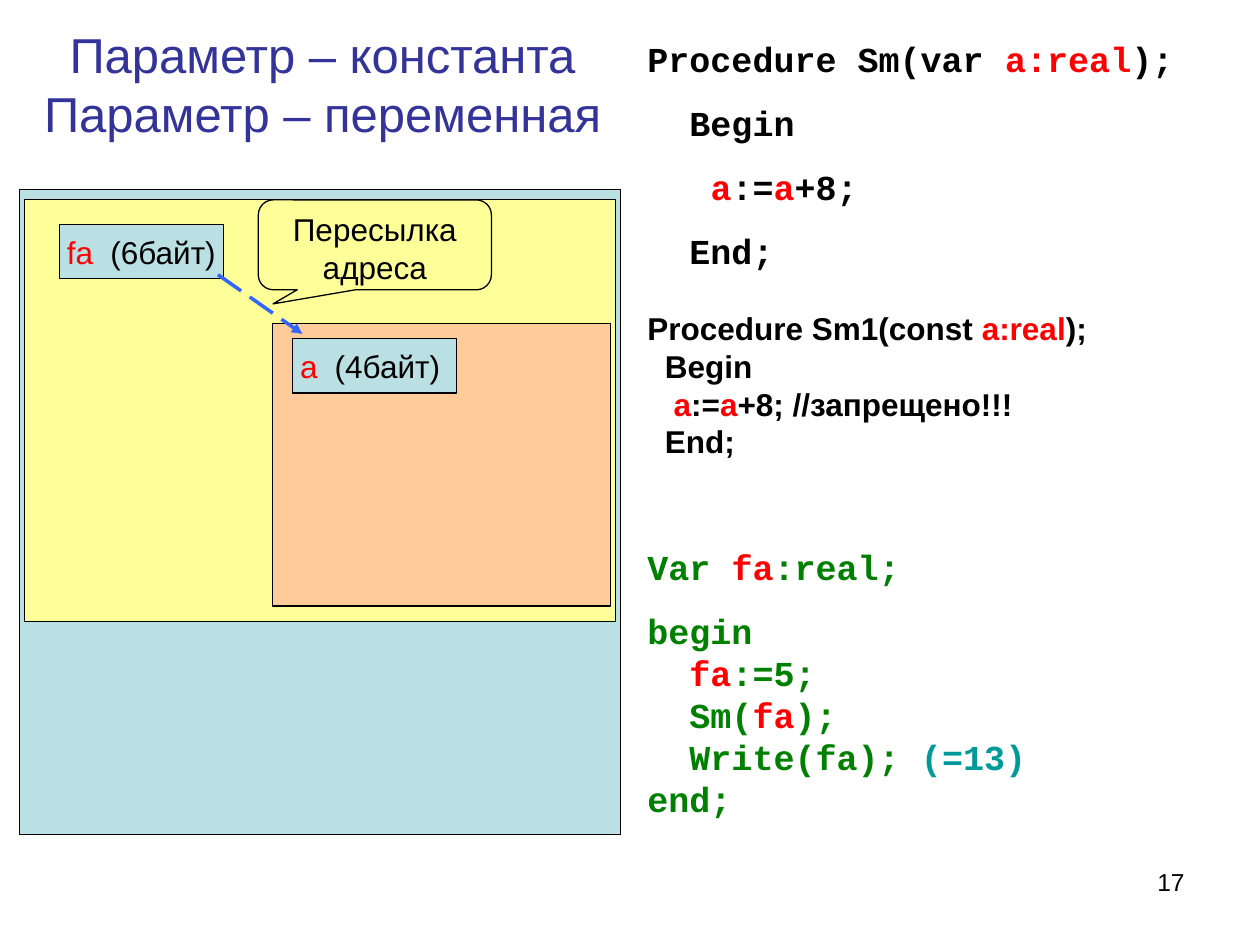
"""Build the slide on constant and variable procedure parameters."""
from lxml import etree
from pptx import Presentation
from pptx.dml.color import RGBColor
from pptx.enum.dml import MSO_LINE
from pptx.enum.shapes import MSO_CONNECTOR, MSO_SHAPE
from pptx.enum.text import MSO_ANCHOR, PP_ALIGN
from pptx.oxml.ns import qn
from pptx.util import Pt

RECTANGLE = MSO_SHAPE.RECTANGLE
CALLOUT = MSO_SHAPE.ROUNDED_RECTANGULAR_CALLOUT
STRAIGHT = MSO_CONNECTOR.STRAIGHT
LONG_DASH = MSO_LINE.LONG_DASH
TOP, MIDDLE = MSO_ANCHOR.TOP, MSO_ANCHOR.MIDDLE
LEFT, CENTER, RIGHT = PP_ALIGN.LEFT, PP_ALIGN.CENTER, PP_ALIGN.RIGHT

BLACK = RGBColor(0x00, 0x00, 0x00)
RED = RGBColor(0xFF, 0x00, 0x00)
GREEN = RGBColor(0x00, 0x80, 0x00)
TEAL = RGBColor(0x00, 0x99, 0x99)
INDIGO = RGBColor(0x33, 0x33, 0x99)
BLUE = RGBColor(0x33, 0x66, 0xFF)
PALE_BLUE = RGBColor(0xBB, 0xE0, 0xE3)
YELLOW = RGBColor(0xFF, 0xFF, 0x99)
PEACH = RGBColor(0xFF, 0xCC, 0x99)


def write(paragraph, *runs, size=18, font="Arial", color=BLACK, bold=False,
          align=LEFT, before=0, tab=None):
    if tab:
        stops = etree.SubElement(paragraph._p.get_or_add_pPr(), qn("a:tabLst"))
        etree.SubElement(stops, qn("a:tab"), pos=str(Pt(tab)), algn="l")
    paragraph.alignment = align
    paragraph.space_before = Pt(before)
    for run_text in runs:
        if run_text == "\n":
            paragraph.add_line_break()
            continue
        text, run_color = run_text if isinstance(run_text, tuple) else (run_text, color)
        run = paragraph.add_run()
        run.text = text
        run.font.size, run.font.name, run.font.bold = Pt(size), font, bold
        run.font.color.rgb = run_color


def add_box(kind, left, top, width, height, fill=None):
    box = slide.shapes.add_shape(kind, Pt(left), Pt(top), Pt(width), Pt(height))
    box.shadow.inherit = False
    if fill is None:
        box.fill.background()
    else:
        box.fill.solid()
        box.fill.fore_color.rgb = fill
    box.line.color.rgb = BLACK
    box.line.width = Pt(0.75)
    box.text_frame.word_wrap = True
    return box


deck = Presentation()
deck.slide_width, deck.slide_height = Pt(720), Pt(540)
slide = deck.slides.add_slide(deck.slide_layouts[6])

title = slide.shapes.add_textbox(Pt(11.5), Pt(21.6), Pt(345.6), Pt(52.6)).text_frame
title.word_wrap = True
title.vertical_anchor = MIDDLE
write(title.paragraphs[0], "Параметр – константа", "\n", "Параметр – переменная",
      size=28, color=INDIGO, align=CENTER)

for left, top, width, height, fill in (
    (11.3, 108.5, 343.3, 368.5, PALE_BLUE),
    (14.2, 114.2, 337.5, 241, YELLOW),
    (155.7, 184.8, 193, 161.5, PEACH),
):
    add_box(RECTANGLE, left, top, width, height, fill)

for name, memory, left, top, tab in (
    ("fa", "(6байт)", 34, 128.2, 24.8),
    ("a", "(4байт)", 167.2, 193.6, 19.8),
):
    variable = add_box(RECTANGLE, left, top, 93.6, 31, PALE_BLUE).text_frame
    variable.margin_left, variable.margin_right = Pt(4.3), Pt(0)
    variable.vertical_anchor = MIDDLE
    write(variable.paragraphs[0], (name, RED), "\t" + memory, tab=tab)

mono = {"size": 20, "font": "Courier New", "bold": True}
sans = {"size": 18, "font": "Arial", "bold": True}
program = {**mono, "color": GREEN}
code_lines = (
    (mono, 0, ("Procedure Sm(var ", ("a:real", RED), ");")),
    (mono, 12.5, ("  Begin",)),
    (mono, 12.5, ("   ", ("a", RED), ":=", ("a", RED), "+8;")),
    (mono, 12.5, ("  End;",)),
    (sans, 21.5, ("Procedure Sm1(const ", ("a:real", RED), ");")),
    (sans, 0, ("  Begin",)),
    (sans, 0, ("   ", ("a", RED), ":=", ("a", RED), "+8; //запрещено!!!")),
    (sans, 0, ("  End;",)),
    (program, 49, ("Var ", ("fa", RED), ":real;")),
    (program, 12.5, ("begin",)),
    (program, 0, ("  ", ("fa", RED), ":=5;")),
    (program, 0, ("  Sm(", ("fa", RED), ");")),
    (program, 0, ("  Write(fa); ", ("(=13)", TEAL))),
    (program, 0, ("end;",)),
)
code = slide.shapes.add_textbox(Pt(362.9), Pt(18), Pt(329), Pt(454.3)).text_frame
code.word_wrap = True
for number, (style, before, runs) in enumerate(code_lines):
    paragraph = code.add_paragraph() if number else code.paragraphs[0]
    write(paragraph, *runs, before=before, **style)

arrow = slide.shapes.add_connector(STRAIGHT, Pt(124.6), Pt(157), Pt(172.8), Pt(190.8))
arrow.line.color.rgb = BLUE
arrow.line.width = Pt(2)
arrow.line.dash_style = LONG_DASH
etree.SubElement(arrow.line._get_or_add_ln(), qn("a:tailEnd"), type="triangle")
etree.SubElement(arrow._element.spPr, qn("a:effectLst"))

transfer = add_box(CALLOUT, 147.6, 114.2, 133.2, 51.4)
for index, value in enumerate((-0.437, 0.657, 0.167)):
    transfer.adjustments[index] = value
transfer.text_frame.vertical_anchor = TOP
write(transfer.text_frame.paragraphs[0], "Пересылка адреса", align=CENTER)

page = slide.shapes.add_textbox(Pt(516.2), Pt(491.8), Pt(167.8), Pt(37.4)).text_frame
page.word_wrap = True
write(page.paragraphs[0], "17", size=14, align=RIGHT)

deck.save("out.pptx")
